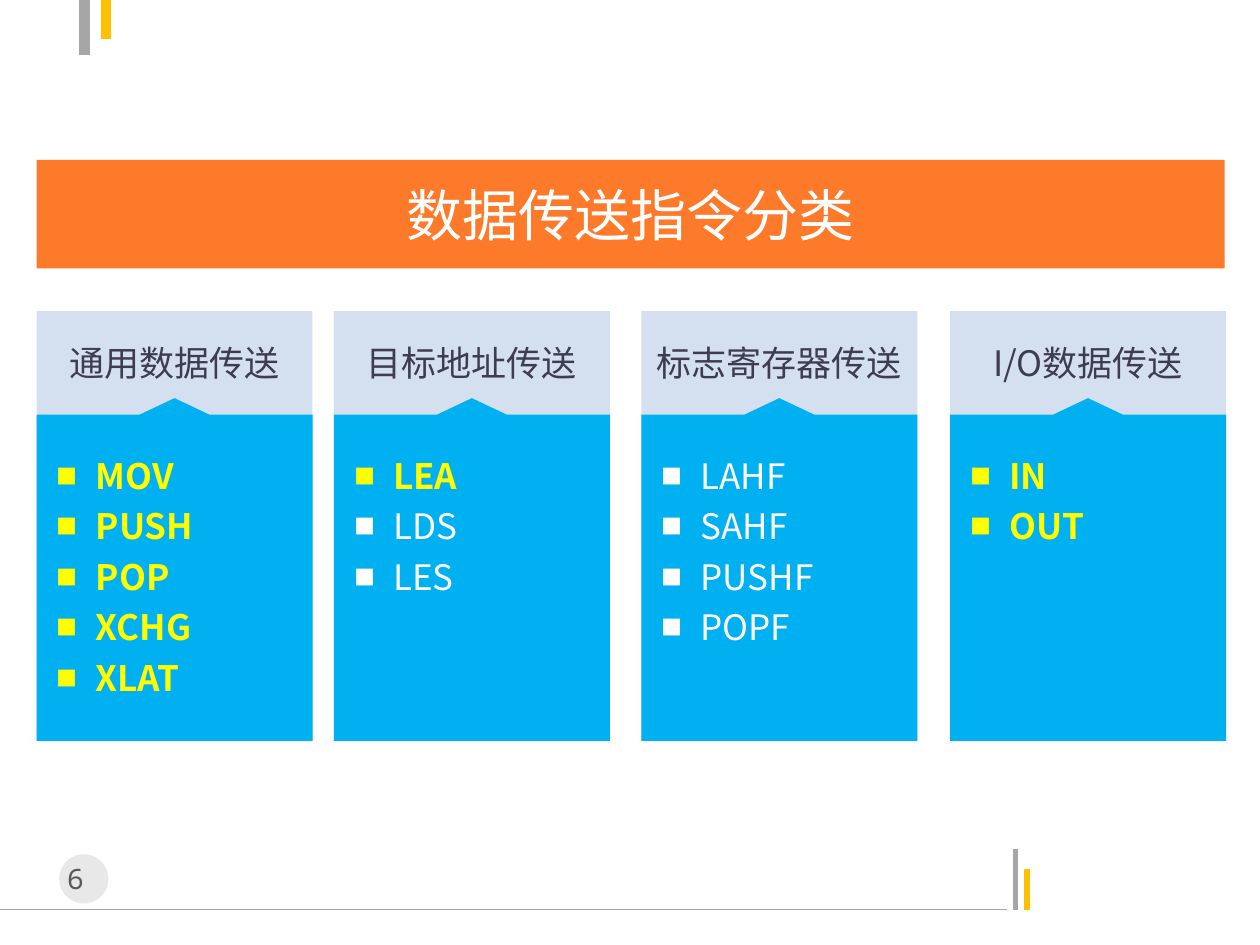
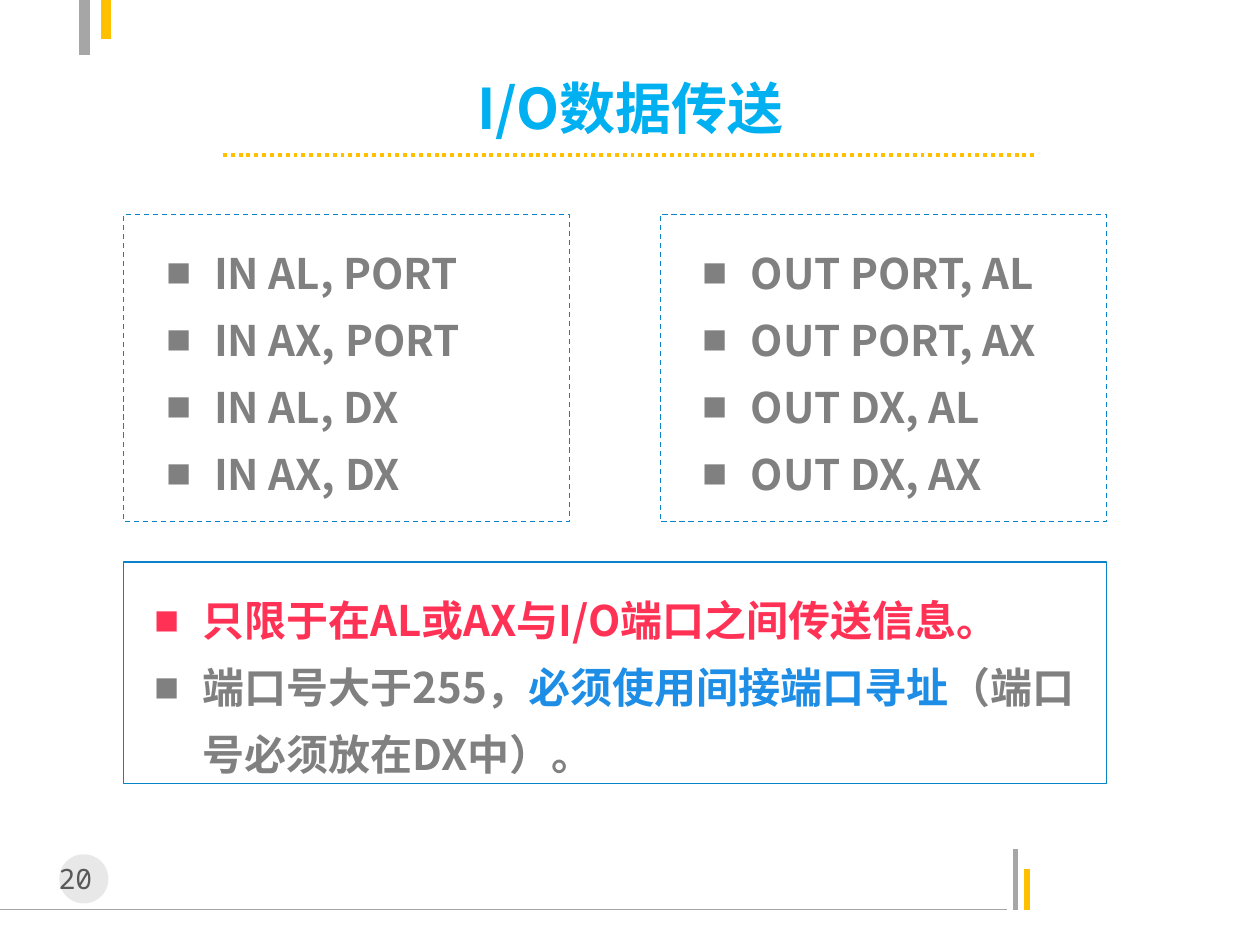
"""Build two slides on data transfer instructions."""
from dataclasses import dataclass
from typing import Optional

import lxml.etree
import pptx
import pptx.dml.color
import pptx.enum.dml
import pptx.enum.shapes
import pptx.enum.text
import pptx.oxml.ns
import pptx.util

Inches = pptx.util.Inches
Pt = pptx.util.Pt
Shapes = pptx.enum.shapes.MSO_SHAPE
Dashes = pptx.enum.dml.MSO_LINE
Align = pptx.enum.text.PP_ALIGN
Anchor = pptx.enum.text.MSO_ANCHOR
qn = pptx.oxml.ns.qn

SANS, MONO = "Noto Sans CJK SC", "Noto Sans Mono"
GREY, AMBER, ORANGE, SKY = "A6A6A6", "FFC000", "FD7A2A", "00B0F0"
PALE, INK, WHITE, YELLOW = "95B3D7", "3E3D4F", "FFFFFF", "FFFF00"
BORDER, TEXT_GREY, RED, BLUE = "0883C8", "808080", "FF3255", "1D8DE5"


@dataclass(frozen=True)
class Box:
    """A rectangle in inches."""
    left: float
    top: float
    width: float
    height: float

    def emu(self) -> tuple:
        """Return the four lengths for python-pptx."""
        return tuple(Inches(v) for v in (self.left, self.top, self.width, self.height))


@dataclass(frozen=True)
class Rule:
    """A straight line."""
    x1: float
    y1: float
    x2: float
    y2: float
    color: str
    width: float
    dash: Optional[Dashes] = None


@dataclass(frozen=True)
class Span:
    """A piece of text in one colour."""
    text: str
    color: str
    bold: bool = False


@dataclass(frozen=True)
class TextStyle:
    """The setting of the paragraphs in one frame."""
    size: float
    font: str = SANS
    align: Align = Align.LEFT
    anchor: Anchor = Anchor.TOP
    leading: Optional[float] = None
    hang: float = 0
    side_inset: float = 0.1
    top_inset: float = 0.05


@dataclass(frozen=True)
class Category:
    """A column of instructions; the first `key` of them are highlighted."""
    left: float
    heading: str
    instructions: tuple
    key: int


@dataclass(frozen=True)
class Syntax:
    """A dashed panel of instruction forms."""
    left: float
    forms: tuple


FURNITURE = (
    Rule(0, 7.22, 7.99, 7.22, GREY, 0.75),
    Rule(8.06, 7.22, 8.06, 6.74, GREY, 3),
    Rule(8.15, 7.22, 8.15, 6.9, AMBER, 3),
    Rule(0.67, 0.44, 0.67, 0, GREY, 6),
    Rule(0.84, 0, 0.84, 0.31, AMBER, 6),
)
PAGE_STYLE = TextStyle(16, font=MONO, align=Align.CENTER)
TITLE_STYLE = TextStyle(32, align=Align.CENTER, anchor=Anchor.MIDDLE)
HEADING_STYLE = TextStyle(20, align=Align.CENTER, leading=26)
INSTRUCTION_STYLE = TextStyle(20, leading=28.8, hang=0.31, side_inset=0.16, top_inset=0.38)
FORM_STYLE = TextStyle(24, leading=38.3, hang=0.38, top_inset=0.08)

CATEGORIES = (
    Category(0.29, "通用数据传送", ("MOV", "PUSH", "POP", "XCHG", "XLAT"), 5),
    Category(2.65, "目标地址传送", ("LEA", "LDS", "LES"), 1),
    Category(5.09, "标志寄存器传送", ("LAHF", "SAHF", "PUSHF", "POPF"), 0),
    Category(7.54, "I/O数据传送", ("IN", "OUT"), 2),
)
CARD_WIDTH = 2.19
SYNTAXES = (
    Syntax(0.98, ("IN AL, PORT", "IN AX, PORT", "IN AL, DX", "IN AX, DX")),
    Syntax(5.24, ("OUT PORT, AL", "OUT PORT, AX", "OUT DX, AL", "OUT DX, AX")),
)
NOTES = (
    (Span("只限于在AL或AX与I/O端口之间传送信息。", RED, True),),
    (Span("端口号大于255，", TEXT_GREY, True), Span("必须使用间接端口寻址", BLUE, True),
     Span("（端口号必须放在DX中）。", TEXT_GREY, True)),
)


def rgb(color: str) -> pptx.dml.color.RGBColor:
    """Turn a hex string into a colour."""
    return pptx.dml.color.RGBColor.from_string(color)


def paint(shape, fill: Optional[str] = None, opacity: int = 100,
          border: Optional[str] = None, dash: Optional[Dashes] = None) -> None:
    """Set the fill and outline of a shape and drop its shadow."""
    shape.shadow.inherit = False
    if fill:
        shape.fill.solid()
        shape.fill.fore_color.rgb = rgb(fill)
        if opacity < 100:
            tint = shape.element.spPr.find(qn("a:solidFill"))[0]
            lxml.etree.SubElement(tint, qn("a:alpha"), val=str(opacity * 1000))
    else:
        shape.fill.background()
    if border:
        shape.line.color.rgb = rgb(border)
        shape.line.width = Pt(0.75)
        if dash:
            shape.line.dash_style = dash
    else:
        shape.line.fill.background()


def add_rule(slide, rule: Rule) -> None:
    """Draw a straight line."""
    ends = (Inches(v) for v in (rule.x1, rule.y1, rule.x2, rule.y2))
    line = slide.shapes.add_connector(pptx.enum.shapes.MSO_CONNECTOR.STRAIGHT, *ends)
    line.line.color.rgb = rgb(rule.color)
    line.line.width = Pt(rule.width)
    if rule.dash:
        line.line.dash_style = rule.dash
    lxml.etree.SubElement(line.element.spPr, qn("a:effectLst"))


def add_preset(slide, box: Box, preset: Shapes = Shapes.RECTANGLE, **look):
    """Draw a preset shape with the given look."""
    shape = slide.shapes.add_shape(preset, *box.emu())
    paint(shape, **look)
    return shape


def set_bullet(paragraph, hang: float) -> None:
    """Give a paragraph a square bullet with a hanging indent."""
    properties = paragraph._p.get_or_add_pPr()
    properties.set("marL", str(Inches(hang)))
    properties.set("indent", str(-Inches(hang)))
    lxml.etree.SubElement(properties, qn("a:buSzPct"), val="60000")
    lxml.etree.SubElement(properties, qn("a:buFont"), typeface=SANS)
    lxml.etree.SubElement(properties, qn("a:buChar"), char="■")


def write(frame, lines: tuple, style: TextStyle) -> None:
    """Fill a text frame with lines of spans."""
    frame.word_wrap = True
    frame.vertical_anchor = style.anchor
    frame.margin_left = frame.margin_right = Inches(style.side_inset)
    frame.margin_top = Inches(style.top_inset)
    frame.margin_bottom = Inches(0.05)
    for number, spans in enumerate(lines):
        paragraph = frame.add_paragraph() if number else frame.paragraphs[0]
        paragraph.alignment = style.align
        if style.leading:
            paragraph.line_spacing = Pt(style.leading)
        if style.hang:
            set_bullet(paragraph, style.hang)
        for span in spans:
            run = paragraph.add_run()
            run.text = span.text
            run.font.size = Pt(style.size)
            run.font.bold = span.bold
            run.font.color.rgb = rgb(span.color)
            run.font.name = style.font
            lxml.etree.SubElement(run._r.get_or_add_rPr(), qn("a:ea"), typeface=style.font)


def add_text(slide, box: Box, lines: tuple, style: TextStyle) -> None:
    """Add a text box."""
    write(slide.shapes.add_textbox(*box.emu()).text_frame, lines, style)


def add_page(deck, number: int):
    """Add a slide with the shared lines and page number."""
    slide = deck.slides.add_slide(deck.slide_layouts[6])
    for rule in FURNITURE:
        add_rule(slide, rule)
    add_preset(slide, Box(0.47, 6.78, 0.39, 0.39), Shapes.OVAL, fill="BFBFBF", opacity=35)
    add_text(slide, Box(0.31, 6.79, 0.71, 0.37), ((Span(f"{number} ", "595959"),),), PAGE_STYLE)
    return slide


def add_category(slide, category: Category) -> None:
    """Draw a heading panel and the notched card of instructions below it."""
    left = category.left
    add_preset(slide, Box(left, 2.47, CARD_WIDTH, 3.41), fill=PALE, opacity=40)
    notch = ((1.37, 3.29), (CARD_WIDTH, 3.29), (CARD_WIDTH, 5.88), (0, 5.88), (0, 3.29), (0.82, 3.29))
    outline = slide.shapes.build_freeform(Inches(left + CARD_WIDTH / 2), Inches(3.16))
    outline.add_line_segments([(Inches(left + x), Inches(y)) for x, y in notch], close=True)
    card = outline.convert_to_shape()
    paint(card, fill=SKY)
    lines = tuple(
        (Span(name, YELLOW if row < category.key else WHITE, row < category.key),)
        for row, name in enumerate(category.instructions))
    write(card.text_frame, lines, INSTRUCTION_STYLE)
    add_text(slide, Box(left, 2.63, CARD_WIDTH, 0.44),
             ((Span(category.heading, INK),),), HEADING_STYLE)


def add_classification(deck) -> None:
    """Build the slide that sorts the instructions."""
    slide = add_page(deck, 6)
    banner = add_preset(slide, Box(0.29, 1.27, 9.43, 0.86), fill=ORANGE)
    write(banner.text_frame, ((Span("数据传送指令分类", WHITE),),), TITLE_STYLE)
    for category in CATEGORIES:
        add_category(slide, category)


def add_port_transfer(deck) -> None:
    """Build the slide on port transfers."""
    slide = add_page(deck, 20)
    add_text(slide, Box(1.38, 0.6, 7.25, 0.5), ((Span("I/O数据传送", SKY, True),),), TITLE_STYLE)
    add_rule(slide, Rule(1.77, 1.23, 8.23, 1.23, AMBER, 2.25, Dashes.ROUND_DOT))
    for syntax in SYNTAXES:
        add_preset(slide, Box(syntax.left, 1.7, 3.54, 2.44), border=BORDER, dash=Dashes.DASH)
        lines = tuple((Span(form, TEXT_GREY, True),) for form in syntax.forms)
        add_text(slide, Box(syntax.left + 0.24, 1.75, 3.31, 2.25), lines, FORM_STYLE)
    add_preset(slide, Box(0.98, 4.46, 7.8, 1.76), border=BORDER)
    add_text(slide, Box(1.13, 4.51, 7.63, 1.71), NOTES, FORM_STYLE)


def main() -> None:
    """Build and save the deck."""
    deck = pptx.Presentation()
    deck.slide_width, deck.slide_height = Inches(10), Inches(7.5)
    add_classification(deck)
    add_port_transfer(deck)
    deck.save("out.pptx")


if __name__ == "__main__":
    main()
